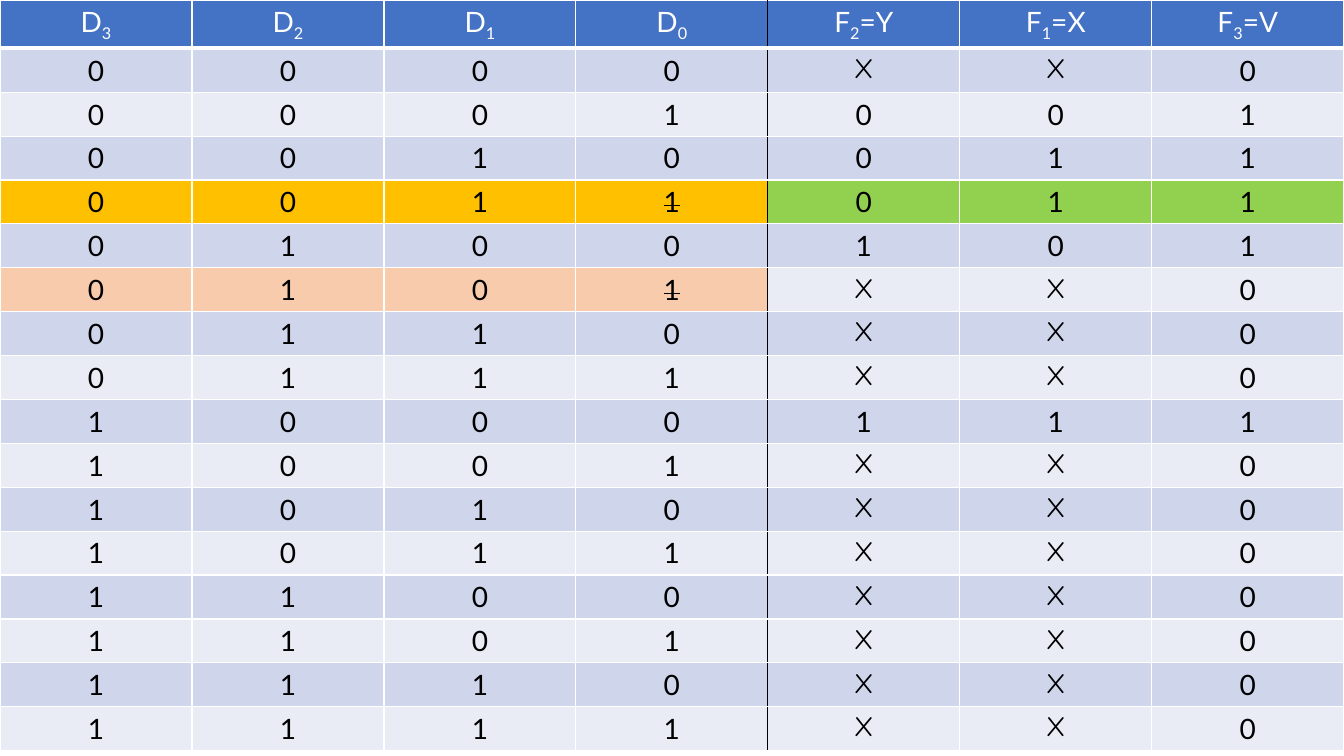
"""Build the slide with the truth table of a four-input priority encoder."""
import lxml.etree
import pptx
import pptx.dml.color
import pptx.enum.text
import pptx.oxml.ns
import pptx.util

qualified = pptx.oxml.ns.qn


def colour(code):
    return pptx.dml.color.RGBColor.from_string(code)


def add_border(cell, side, code, points):
    line = lxml.etree.SubElement(
        cell._tc.get_or_add_tcPr(), qualified("a:ln" + side), w=str(pptx.util.Pt(points)))
    paint = lxml.etree.SubElement(line, qualified("a:solidFill"))
    lxml.etree.SubElement(paint, qualified("a:srgbClr"), val=code)


HEADERS = [("D", "3", ""), ("D", "2", ""), ("D", "1", ""), ("D", "0", ""),
           ("F", "2", "=Y"), ("F", "1", "=X"), ("F", "3", "=V")]
VALID_OUTPUTS = {1: "001", 2: "011", 3: "011", 4: "101", 8: "111"}
HIGHLIGHTS = {3: ("FFC000", "92D050"), 5: ("F8CBAD", "E9EBF5")}
BANDS = ("CFD5EA", "E9EBF5")
INPUTS = 4

rows = [HEADERS]
for number in range(2 ** INPUTS):
    rows.append(f"{number:04b}" + VALID_OUTPUTS.get(number, "XX0"))

deck = pptx.Presentation()
deck.slide_width = pptx.util.Inches(13.33)
deck.slide_height = pptx.util.Inches(7.5)
page = deck.slides.add_slide(deck.slide_layouts[6])
table = page.shapes.add_table(
    len(rows), len(HEADERS), 0, 0, deck.slide_width, pptx.util.Inches(7.37)).table

for row_index, row in enumerate(rows):
    number = row_index - 1
    is_header = row_index == 0
    for column, parts in enumerate(row):
        cell = table.cell(row_index, column)
        add_border(cell, "L", "000000" if column == INPUTS else "FFFFFF", 1)
        add_border(cell, "R", "000000" if column == INPUTS - 1 else "FFFFFF", 1)
        add_border(cell, "T", "FFFFFF", 3 if row_index == 1 else 1)
        add_border(cell, "B", "FFFFFF", 3 if is_header else 1)

        band = BANDS[number % 2]
        fill = HIGHLIGHTS.get(number, (band, band))[column >= INPUTS]
        cell.fill.solid()
        cell.fill.fore_color.rgb = colour("4472C4" if is_header else fill)

        para = cell.text_frame.paragraphs[0]
        para.alignment = pptx.enum.text.PP_ALIGN.CENTER
        for position, text in enumerate(parts):
            if not text:
                continue
            span = para.add_run()
            span.text = text
            span.font.name = "Comic Neue" if text == "X" else "Lato"
            span.font.size = pptx.util.Pt(20)
            span.font.bold = False
            span.font.color.rgb = colour("FFFFFF" if is_header else "000000")
            if is_header and position == 1:
                span._r.get_or_add_rPr().set("baseline", "-25000")
            if number in HIGHLIGHTS and column == INPUTS - 1:
                span._r.get_or_add_rPr().set("strike", "sngStrike")

deck.save("out.pptx")
